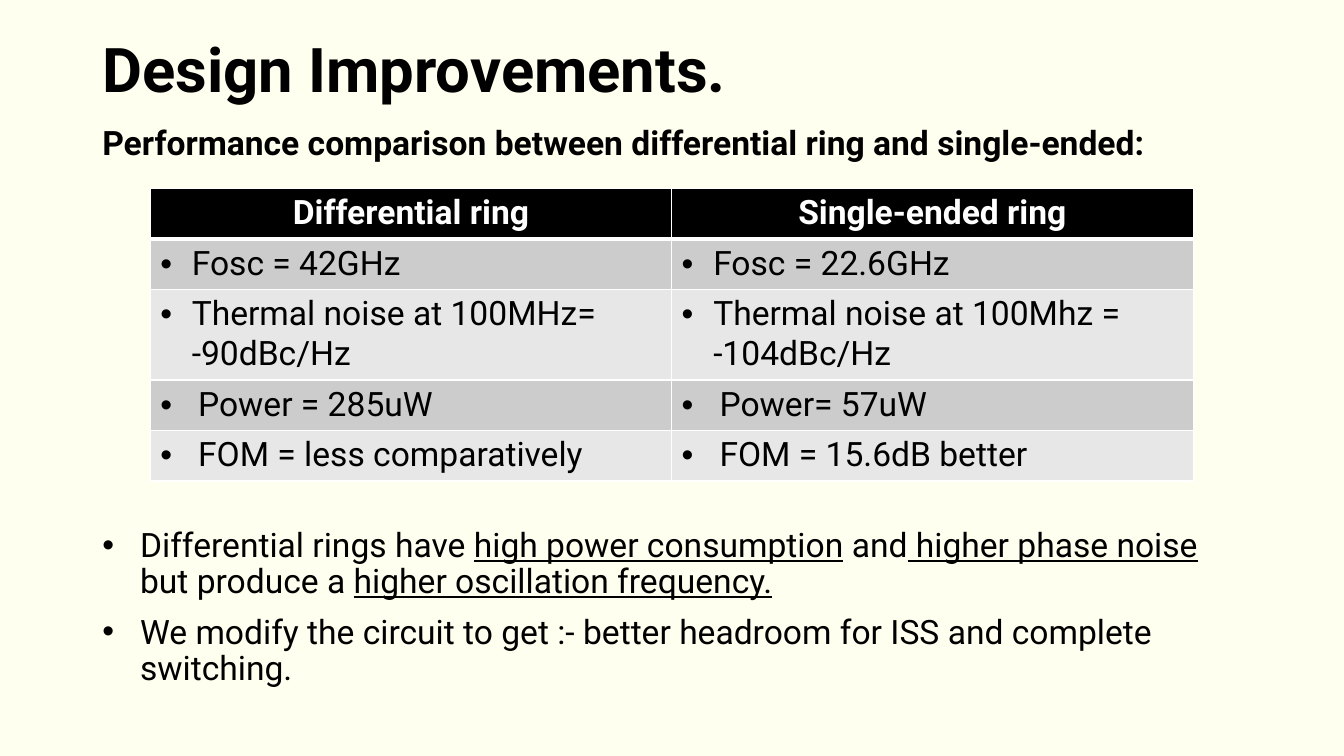
import pptx
import pptx.dml.color
import pptx.enum.text
import pptx.oxml.ns
import pptx.util
from lxml import etree

Pt = pptx.util.Pt
ALIGN = pptx.enum.text.PP_ALIGN
ANCHOR = pptx.enum.text.MSO_ANCHOR

# Content
TITLE = "Design Improvements."
SUBTITLE = "Performance comparison between differential ring and single-ended:"
HEADER = ("Differential ring", "Single-ended ring")
# Each row: bullet indent, height, cell texts
ROWS = [
    (22.5, 34, ("Fosc = 42GHz", "Fosc = 22.6GHz")),
    (22.5, 62, ("Thermal noise at 100MHz= -90dBc/Hz",
                "Thermal noise at 100Mhz = -104dBc/Hz")),
    (27, 34, ("Power = 285uW", "Power= 57uW")),
    (27, 34, ("FOM = less comparatively", "FOM = 15.6dB better")),
]
# Each bullet: spans of text and whether they are underlined
BULLETS = [
    [("Differential rings have ", False), ("high power consumption", True),
     (" and", False), (" higher phase noise", True),
     (" but produce a ", False), ("higher oscillation frequency.", True)],
    [("We modify the circuit to get :- better headroom for ISS "
      "and complete switching.", False)],
]

# Style and layout
FONT = "Roboto"
BLACK, WHITE = "000000", "FFFFFF"
BANDS = ("CCCCCC", "E7E7E7")
LEFT, WIDTH = 66, 828
TABLE_LEFT, TABLE_TOP, COLUMN_WIDTH, HEADER_HEIGHT = 107.3, 134.6, 372.5, 34


def color(value):
    return pptx.dml.color.RGBColor.from_string(value)


def add_element(parent, tag, **attributes):
    return etree.SubElement(parent, pptx.oxml.ns.qn(tag), attributes)


def write(frame, paragraphs, size=24, bold=False, ink=BLACK, align=ALIGN.LEFT,
          indent=0, spacing=1.0, gap=0):
    """Fill a text frame with paragraphs, each a list of (text, underlined)."""
    frame.word_wrap = True
    for index, spans in enumerate(paragraphs):
        para = frame.paragraphs[0] if index == 0 else frame.add_paragraph()
        if indent:
            properties = para._p.get_or_add_pPr()
            properties.set("marL", str(Pt(indent)))
            properties.set("indent", str(-Pt(indent)))
            add_element(properties, "a:buFont", typeface="Arial")
            add_element(properties, "a:buChar", char="•")
        para.alignment = align
        para.line_spacing = spacing
        para.space_before = Pt(gap if index else 0)
        for text, underlined in spans:
            span = para.add_run()
            span.text = text
            span.font.name = FONT
            span.font.size = Pt(size)
            span.font.bold = bold
            span.font.underline = underlined
            span.font.color.rgb = color(ink)


def add_text(page, top, height, paragraphs, anchor=ANCHOR.TOP, **style):
    box = page.shapes.add_textbox(Pt(LEFT), Pt(top), Pt(WIDTH), Pt(height))
    box.text_frame.vertical_anchor = anchor
    write(box.text_frame, paragraphs, spacing=0.9, **style)


def style_cell(cell, fill, top=1, bottom=1):
    properties = cell._tc.get_or_add_tcPr()
    for side, width in (("L", 1), ("R", 1), ("T", top), ("B", bottom)):
        line = add_element(properties, f"a:ln{side}", w=str(Pt(width)))
        paint = add_element(line, "a:solidFill")
        add_element(paint, "a:srgbClr", val=WHITE)
    cell.fill.solid()
    cell.fill.fore_color.rgb = color(fill)


def add_comparison(page):
    heights = [HEADER_HEIGHT] + [height for _, height, _ in ROWS]
    table = page.shapes.add_table(
        len(heights), len(HEADER), Pt(TABLE_LEFT), Pt(TABLE_TOP),
        Pt(COLUMN_WIDTH * len(HEADER)), Pt(sum(heights))).table
    for column in table.columns:
        column.width = Pt(COLUMN_WIDTH)
    for row, height in zip(table.rows, heights):
        row.height = Pt(height)
    for column, text in enumerate(HEADER):
        cell = table.cell(0, column)
        write(cell.text_frame, [[(text, False)]], bold=True, ink=WHITE,
              align=ALIGN.CENTER)
        style_cell(cell, BLACK, bottom=3)
    for index, (indent, _, texts) in enumerate(ROWS):
        for column, text in enumerate(texts):
            cell = table.cell(index + 1, column)
            write(cell.text_frame, [[(text, False)]], indent=indent)
            style_cell(cell, BANDS[index % 2], top=1 if index else 3)


def main():
    deck = pptx.Presentation()
    deck.slide_width, deck.slide_height = Pt(960), Pt(540)
    page = deck.slides.add_slide(deck.slide_layouts[6])
    page.background.fill.solid()
    page.background.fill.fore_color.rgb = color("FFFFF0")

    # Heading
    add_text(page, 0, 104, [[(TITLE, False)]], anchor=ANCHOR.MIDDLE,
             size=44, bold=True)
    add_text(page, 87, 36, [[(SUBTITLE, False)]], bold=True)

    # Comparison and conclusions
    add_comparison(page)
    add_text(page, 374, 138, BULLETS, indent=27, gap=10)

    deck.save("out.pptx")


if __name__ == "__main__":
    main()
